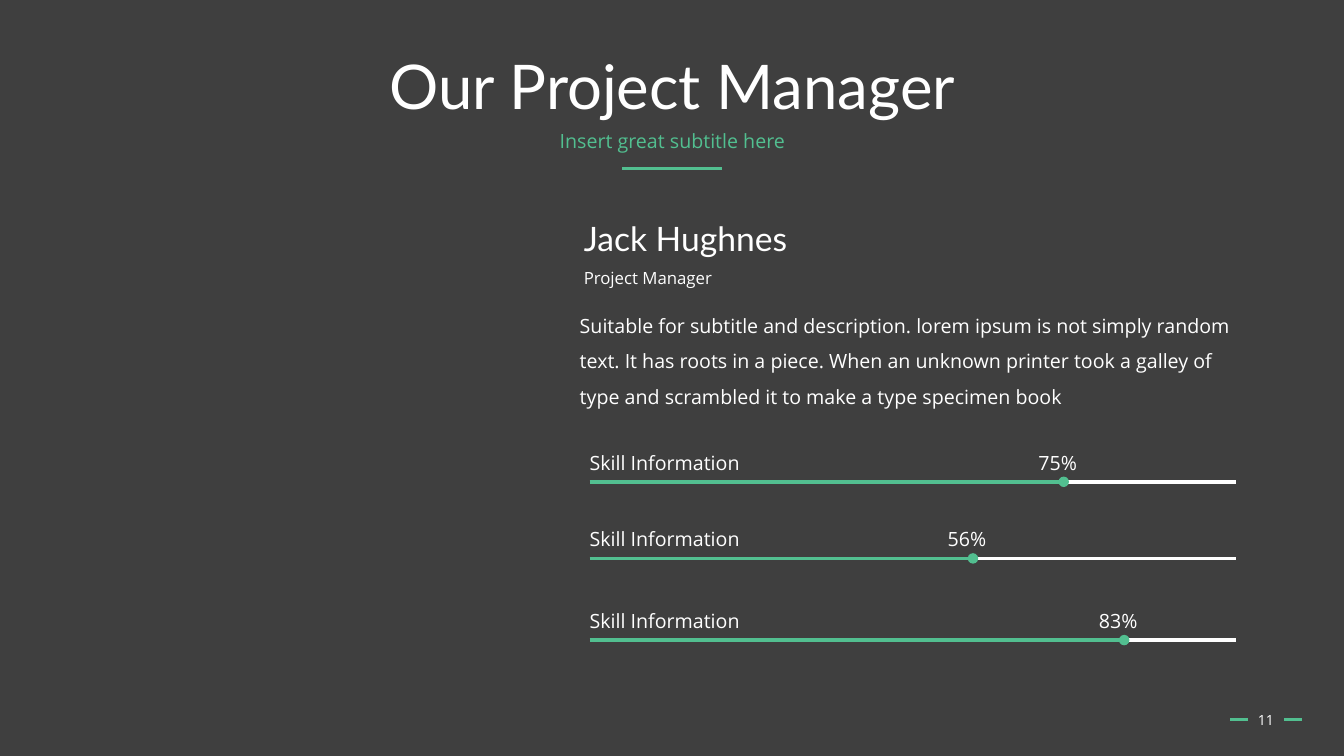
from lxml.etree import SubElement
from pptx import Presentation
from pptx.dml.color import RGBColor
from pptx.enum.shapes import MSO_CONNECTOR
from pptx.enum.text import MSO_ANCHOR, MSO_AUTO_SIZE, PP_ALIGN
from pptx.oxml.ns import qn
from pptx.util import Inches, Pt

BACKGROUND = "3F3F3F"
WHITE = "FFFFFF"
GREEN = "52BF90"
HEADING_FONT = "Lato"
BODY_FONT = "Open Sans"
TEXT_LEFT = 5.75
BAR_LEFT, BAR_RIGHT = 5.85, 12.26

# Bar height on the slide, right end of the green part, label
SKILLS = [(4.78, 10.55, "75%"), (5.54, 9.65, "56%"), (6.35, 11.15, "83%")]

DESCRIPTION = (
    "Suitable for subtitle and description. lorem ipsum is not simply random text. "
    "It has roots in a piece. When an unknown printer took a galley of type and "
    "scrambled it to make a type specimen book"
)


def set_color(color_format, value):
    color_format.rgb = RGBColor.from_string(value)


def format_paragraph(paragraph, size, font=BODY_FONT, color=WHITE,
                     align=PP_ALIGN.LEFT, spacing=1.0):
    paragraph.alignment = align
    paragraph.line_spacing = spacing
    paragraph.font.size = Pt(size)
    paragraph.font.name = font
    set_color(paragraph.font.color, color)


def add_text(slide, text, left, top, width, height, size=14, wrap=False, grow=True,
             margins=None, anchor=MSO_ANCHOR.TOP, **paragraph_format):
    box = slide.shapes.add_textbox(Inches(left), Inches(top), Inches(width), Inches(height))
    frame = box.text_frame
    frame.text = text
    frame.word_wrap = wrap
    frame.auto_size = MSO_AUTO_SIZE.SHAPE_TO_FIT_TEXT if grow else MSO_AUTO_SIZE.NONE
    frame.vertical_anchor = anchor
    if margins is not None:
        frame.margin_left = frame.margin_right = Inches(margins)
        frame.margin_top = frame.margin_bottom = Inches(margins)
    format_paragraph(frame.paragraphs[0], size, **paragraph_format)


def add_line(slide, left, right, y, color=GREEN, width=1.75, oval_end=False):
    line = slide.shapes.add_connector(
        MSO_CONNECTOR.STRAIGHT, Inches(left), Inches(y), Inches(right), Inches(y))
    line.line.width = Pt(width)
    set_color(line.line.color, color)
    if oval_end:
        SubElement(line.line._get_or_add_ln(), qn("a:tailEnd"), type="oval")
    SubElement(line._element.spPr, qn("a:effectLst"))


def add_title(slide, text):
    title = slide.shapes.title
    title.left, title.top = Inches(0.92), Inches(0.4)
    title.width, title.height = Inches(11.5), Inches(0.98)
    title.text_frame.text = text
    title.text_frame.vertical_anchor = MSO_ANCHOR.MIDDLE
    format_paragraph(title.text_frame.paragraphs[0], 44, HEADING_FONT,
                     align=PP_ALIGN.CENTER, spacing=0.9)


def add_skill(slide, y, end, percent):
    add_line(slide, BAR_LEFT, BAR_RIGHT, y, WHITE, 2.5)
    add_line(slide, BAR_LEFT, end, y, GREEN, 2.5, oval_end=True)
    add_text(slide, "Skill Information", TEXT_LEFT, y - 0.36, 1.7, 0.34)
    add_text(slide, percent, end - 0.35, y - 0.36, 0.59, 0.34)


def add_page_number(slide, number):
    add_line(slide, 12.2, 12.38, 7.14)
    add_line(slide, 12.74, 12.91, 7.14)
    add_text(slide, number, 12.26, 6.94, 0.59, 0.4, size=10, wrap=True, grow=False,
             anchor=MSO_ANCHOR.MIDDLE, align=PP_ALIGN.CENTER)


def main():
    presentation = Presentation()
    presentation.slide_width, presentation.slide_height = Inches(13.33), Inches(7.5)
    slide = presentation.slides.add_slide(presentation.slide_layouts[5])
    slide.background.fill.solid()
    set_color(slide.background.fill.fore_color, BACKGROUND)

    add_title(slide, "Our Project Manager")
    add_text(slide, "Insert great subtitle here", 0.92, 1.26, 11.5, 0.4, wrap=True,
             grow=False, color=GREEN, align=PP_ALIGN.CENTER, spacing=0.9)
    add_line(slide, 6.17, 7.16, 1.67)

    add_text(slide, "Jack Hughnes", TEXT_LEFT, 2.17, 2.12, 0.44, size=24, margins=0.04,
             anchor=MSO_ANCHOR.MIDDLE, font=HEADING_FONT, spacing=0.9)
    add_text(slide, "Project Manager", TEXT_LEFT, 2.59, 1.36, 0.3, size=12, margins=0.04,
             anchor=MSO_ANCHOR.MIDDLE, spacing=1.2)
    add_text(slide, DESCRIPTION, TEXT_LEFT, 3, 6.47, 1.06, wrap=True, margins=0, spacing=1.5)

    for y, end, percent in SKILLS:
        add_skill(slide, y, end, percent)
    add_page_number(slide, "11")

    presentation.save("out.pptx")


if __name__ == "__main__":
    main()
